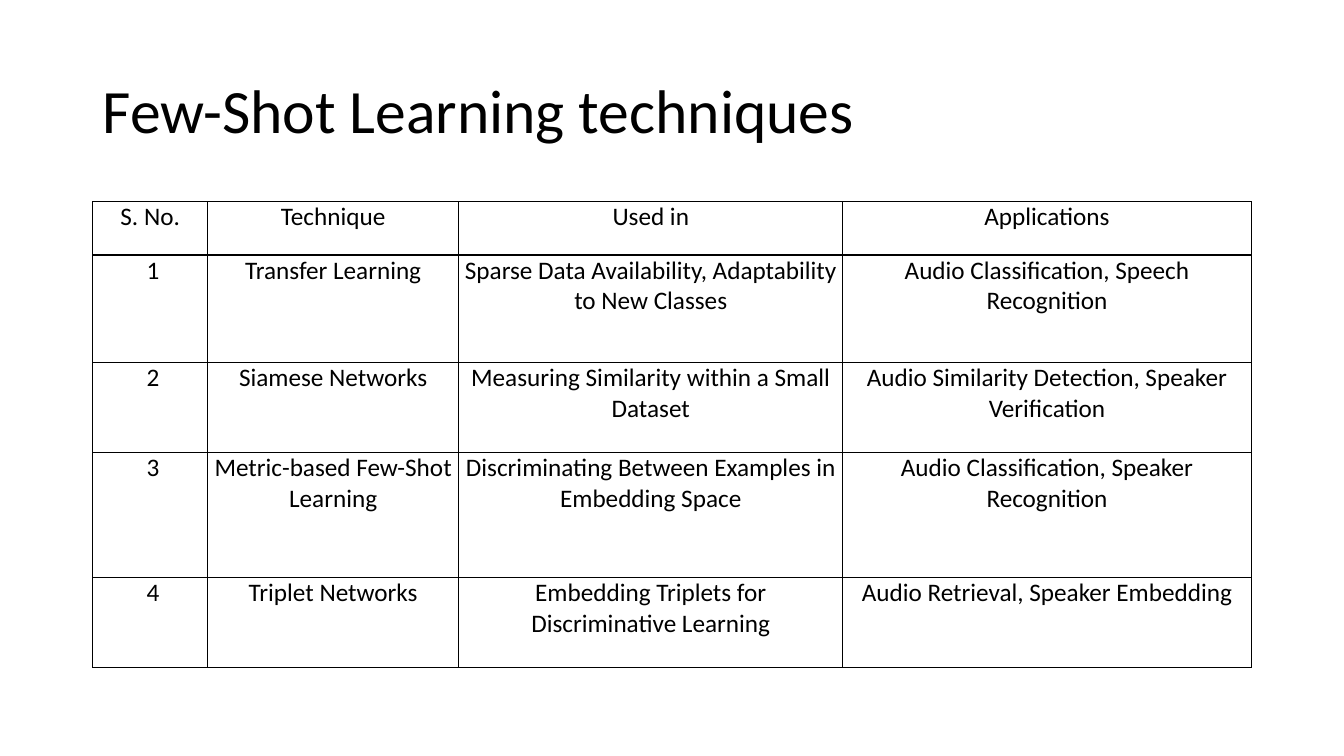
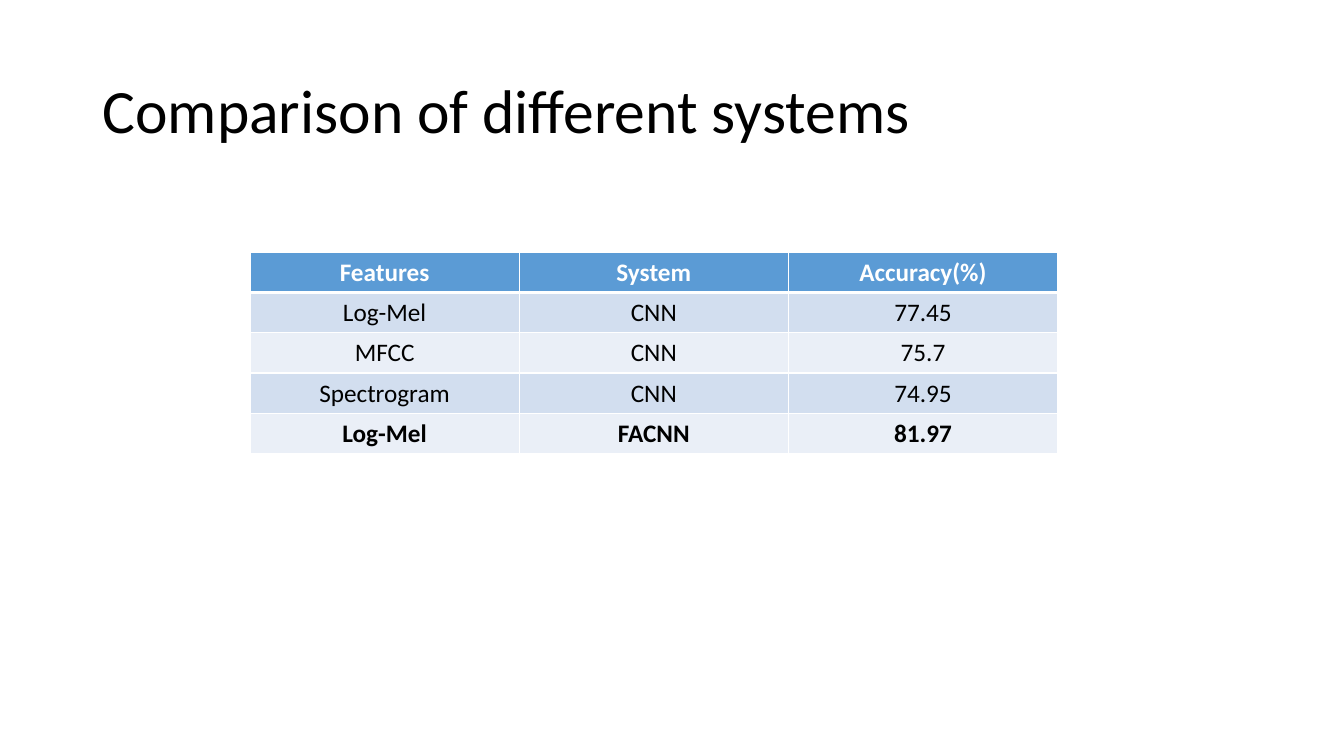
"""Build two slides of tables on few-shot learning and audio classification."""
from lxml import etree
from pptx import Presentation
from pptx.dml.color import RGBColor
from pptx.enum import text
from pptx.oxml import ns
from pptx.util import Inches, Pt

COLORS = {"ink": "000000", "paper": "FFFFFF", "header": "5B9BD5",
          "odd": "D2DEEF", "even": "EAEFF7"}
FONT = "Calibri"

TECHNIQUES = [
    ("S. No.", "Technique", "Used in", "Applications"),
    (" 1", "Transfer Learning", "Sparse Data Availability, Adaptability to New Classes",
     "Audio Classification, Speech Recognition"),
    (" 2", "Siamese Networks", "Measuring Similarity within a Small Dataset",
     "Audio Similarity Detection, Speaker Verification"),
    (" 3", "Metric-based Few-Shot Learning",
     "Discriminating Between Examples in Embedding Space",
     "Audio Classification, Speaker Recognition"),
    (" 4", "Triplet Networks", "Embedding Triplets for Discriminative Learning",
     "Audio Retrieval, Speaker Embedding"),
]
SYSTEMS = [
    ("Features", "System", "Accuracy(%)"),
    ("Log-Mel", "CNN", "77.45"),
    ("MFCC", "CNN", "75.7"),
    ("Spectrogram", "CNN", "74.95"),
    ("Log-Mel", "FACNN", "81.97"),
]

PLAIN = {"fills": [None] * 5, "inks": ["ink"] * 5, "bold": (), "border": "ink",
         "header_rule": 1, "margins": (0.06, 0)}
BANDED = {"fills": ["header", "odd", "even", "odd", "even"],
          "inks": ["paper"] + ["ink"] * 4, "bold": (0, 4), "border": "paper",
          "header_rule": 3, "margins": (0.1, 0.05)}

SLIDES = [
    {"title": "Few-Shot Learning techniques", "rows": TECHNIQUES, "style": PLAIN,
     "at": (0.92, 2), "widths": (1.14, 2.49, 3.81, 4.05),
     "heights": (0.53, 1.07, 0.89, 1.24, 0.89)},
    {"title": "Comparison of different systems", "rows": SYSTEMS, "style": BANDED,
     "at": (2.48, 2.5), "widths": (2.67,) * 3, "heights": (0.4,) * 5},
]


def write(p, words, size, color, bold=False):
    r = p.add_run()
    r.text = words
    for name, value in {"name": FONT, "size": Pt(size), "bold": bold}.items():
        setattr(r.font, name, value)
    r.font.color.rgb = RGBColor.from_string(COLORS[color])


def add_title(s, words):
    tf = s.shapes.add_textbox(*map(Inches, (0.92, 0.4, 11.5, 1.45))).text_frame
    tf.word_wrap = True
    tf.vertical_anchor = text.MSO_ANCHOR.MIDDLE
    p = tf.paragraphs[0]
    p.line_spacing = 0.9
    write(p, words, 44, "ink")


def set_borders(cell, color, top, bottom):
    tc_pr = cell._tc.get_or_add_tcPr()
    sides = {"lnL": 1, "lnR": 1, "lnT": top, "lnB": bottom}
    for i, (side, width) in enumerate(sides.items()):
        ln = etree.Element(ns.qn(f"a:{side}"), w=str(Pt(width)))
        fill = etree.SubElement(ln, ns.qn("a:solidFill"))
        etree.SubElement(fill, ns.qn("a:srgbClr"), val=COLORS[color])
        tc_pr.insert(i, ln)


def format_cell(cell, words, row, style):
    across, down = map(Inches, style["margins"])
    margins = {"margin_left": across, "margin_right": across,
               "margin_top": down, "margin_bottom": down}
    for name, value in margins.items():
        setattr(cell, name, value)
    fill = style["fills"][row]
    if fill:
        cell.fill.solid()
        cell.fill.fore_color.rgb = RGBColor.from_string(COLORS[fill])
    else:
        cell.fill.background()
    rule = style["header_rule"]
    set_borders(cell, style["border"], rule if row == 1 else 1, rule if row == 0 else 1)
    p = cell.text_frame.paragraphs[0]
    p.alignment = text.PP_ALIGN.CENTER
    write(p, words, 18, style["inks"][row], row in style["bold"])


def add_table(s, rows, style, at, widths, heights):
    size = sum(widths), sum(heights)
    table = s.shapes.add_table(len(rows), len(widths), *map(Inches, at + size)).table
    table.first_row = table.horz_banding = False
    for column, width in zip(table.columns, widths):
        column.width = Inches(width)
    for i, (row, height) in enumerate(zip(table.rows, heights)):
        row.height = Inches(height)
        for cell, words in zip(row.cells, rows[i]):
            format_cell(cell, words, i, style)


def main():
    prs = Presentation()
    prs.slide_width, prs.slide_height = Inches(13.33), Inches(7.5)
    for content in SLIDES:
        s = prs.slides.add_slide(prs.slide_layouts[6])
        add_title(s, content["title"])
        add_table(s, **{k: v for k, v in content.items() if k != "title"})
    prs.save("out.pptx")


if __name__ == "__main__":
    main()
